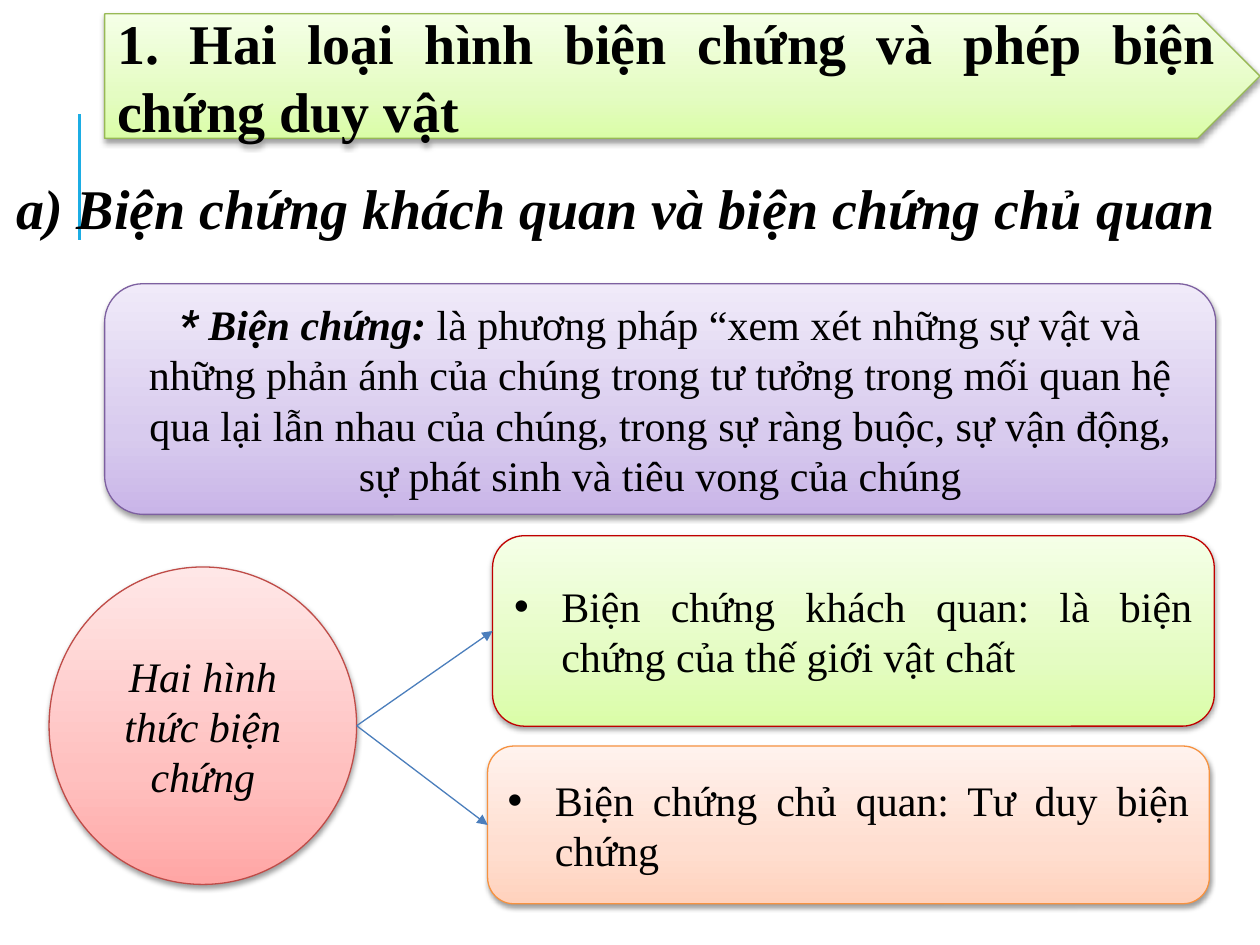
from copy import deepcopy
from dataclasses import dataclass

from lxml.etree import SubElement
from pptx import Presentation
from pptx.dml.color import RGBColor
from pptx.enum.shapes import MSO_CONNECTOR, MSO_SHAPE
from pptx.enum.text import MSO_ANCHOR, PP_ALIGN
from pptx.oxml.ns import qn
from pptx.util import Cm, Pt


@dataclass(frozen=True)
class Theme:
    font: str = "Times New Roman"
    mark_font: str = "Roboto"
    head: int = 32
    body: int = 24
    ink: str = "000000"
    rule: str = "1CADE4"
    arrow: str = "4B7EBC"
    # Gradient colours run from the bottom edge to the top edge.
    green: tuple = ("DAFDA7", "E4FCC2", "F5FFE7")
    violet: tuple = ("C9B5E8", "D8CBEE", "F0EAF9")
    red: tuple = ("FFA6A5", "FFC0BF", "FFE7E7")
    peach: tuple = ("FFD2BD", "FFDED0", "FFF2ED")
    stops: tuple = (0, 0.35, 1)


THEME = Theme()


@dataclass(frozen=True)
class Run:
    text: str
    bold: bool = False
    italic: bool = False
    font: str = THEME.font


@dataclass(frozen=True)
class Card:
    kind: MSO_SHAPE
    left: float
    top: float
    width: float
    height: float
    shades: tuple
    edge: str
    runs: tuple
    size: int = THEME.body
    align: PP_ALIGN = PP_ALIGN.CENTER
    bullet: bool = False


def paint(shape, shades: tuple) -> None:
    """Fill a shape with an upward three-stop gradient."""
    fill = shape.fill
    fill.gradient()
    fill.gradient_angle = 90
    first = next(shape._element.spPr.iter(qn("a:gs")))
    first.addnext(deepcopy(first))
    for stop, shade, pos in zip(fill.gradient_stops, shades, THEME.stops):
        stop.color.rgb = RGBColor.from_string(shade)
        stop.position = pos


def shade_under(shape) -> None:
    """Give a shape a soft shadow below it."""
    shape.shadow.inherit = False
    effects = shape._element.spPr.find(qn("a:effectLst"))
    outer = SubElement(effects, qn("a:outerShdw"), blurRad=str(Pt(3.1)),
                       dist=str(Pt(1.6)), dir="5400000", rotWithShape="0")
    color = SubElement(outer, qn("a:srgbClr"), val=THEME.ink)
    SubElement(color, qn("a:alpha"), val="38000")


def add_bullet(para) -> None:
    props = para._p.get_or_add_pPr()
    props.set("marL", str(Cm(0.95)))
    props.set("indent", str(-Cm(0.95)))
    SubElement(props, qn("a:buFont"), typeface="Arial")
    SubElement(props, qn("a:buChar"), char="•")


def write(frame, runs: tuple, size: int, align: PP_ALIGN, bullet: bool = False) -> None:
    frame.word_wrap = True
    para = frame.paragraphs[0]
    para.alignment = align
    if bullet:
        add_bullet(para)
    para.font.size = Pt(size)
    para.font.color.rgb = RGBColor.from_string(THEME.ink)
    for item in runs:
        run = para.add_run()
        run.text = item.text
        font = para.font if len(runs) == 1 else run.font
        font.name, font.bold, font.italic = item.font, item.bold, item.italic


def add_card(slide, card: Card):
    shape = slide.shapes.add_shape(card.kind, Cm(card.left), Cm(card.top),
                                   Cm(card.width), Cm(card.height))
    paint(shape, card.shades)
    shade_under(shape)
    shape.line.color.rgb = RGBColor.from_string(card.edge)
    shape.line.width = Pt(0.75)
    shape.text_frame.vertical_anchor = MSO_ANCHOR.MIDDLE
    write(shape.text_frame, card.runs, card.size, card.align, card.bullet)
    return shape


def add_line(slide, start: tuple, end: tuple, color: str, width: float,
             arrow: bool = False) -> None:
    line = slide.shapes.add_connector(MSO_CONNECTOR.STRAIGHT, *start, *end)
    line.line.color.rgb = RGBColor.from_string(color)
    line.line.width = Pt(width)
    if arrow:
        SubElement(line.line._get_or_add_ln(), qn("a:tailEnd"), type="triangle")
    SubElement(line._element.spPr, qn("a:effectLst"))


ROUND = MSO_SHAPE.ROUNDED_RECTANGLE
BANNER = Card(MSO_SHAPE.PENTAGON, 2.11, 0.28, 23.29, 2.51, THEME.green, "98B955",
              (Run("1. Hai loại hình biện chứng và phép biện chứng duy vật", bold=True),),
              THEME.head, PP_ALIGN.JUSTIFY)
TOPIC = Run("a) Biện chứng khách quan và biện chứng chủ quan", True, True)
MEANING = Card(ROUND, 2.11, 5.72, 22.4, 4.65, THEME.violet, "7D60A0", (
    Run("* ", True, True, THEME.mark_font),
    Run("Biện chứng: ", True, True),
    Run("là phương pháp “xem xét những sự vật và những phản ánh của chúng "
        "trong tư tưởng trong mối quan hệ qua lại lẫn nhau của chúng, trong sự "
        "ràng buộc, sự vận động, sự phát sinh và tiêu vong của chúng")))
HUB = Card(MSO_SHAPE.OVAL, 0.99, 11.43, 6.2, 6.4, THEME.red, "BF4C48",
           (Run("Hai hình thức biện chứng", italic=True),))
FORMS = (
    Card(ROUND, 9.93, 10.8, 14.55, 3.84, THEME.green, "C00000",
         (Run("Biện chứng khách quan: là biện chứng của thế giới vật chất"),),
         align=PP_ALIGN.JUSTIFY, bullet=True),
    Card(ROUND, 9.83, 15.04, 14.55, 3.18, THEME.peach, "F69240",
         (Run("Biện chứng chủ quan: Tư duy biện chứng"),),
         align=PP_ALIGN.JUSTIFY, bullet=True),
)


def main() -> None:
    deck = Presentation()
    deck.slide_width, deck.slide_height = Cm(25.4), Cm(19.05)
    slide = deck.slides.add_slide(deck.slide_layouts[6])

    add_line(slide, (Cm(1.6), Cm(4.83)), (Cm(1.6), Cm(2.29)), THEME.rule, 1.5)
    topic = slide.shapes.add_textbox(Cm(0.08), Cm(3.38), Cm(24.89), Cm(1.63))
    write(topic.text_frame, (TOPIC,), THEME.head, PP_ALIGN.LEFT)

    add_card(slide, MEANING)
    hub = add_card(slide, HUB)
    forms = [add_card(slide, card) for card in FORMS]
    start = (hub.left + hub.width, hub.top + hub.height // 2)
    for form in forms:
        end = (form.left, form.top + form.height // 2)
        add_line(slide, start, end, THEME.arrow, 0.75, arrow=True)
    add_card(slide, BANNER)

    deck.save("out.pptx")


if __name__ == "__main__":
    main()
